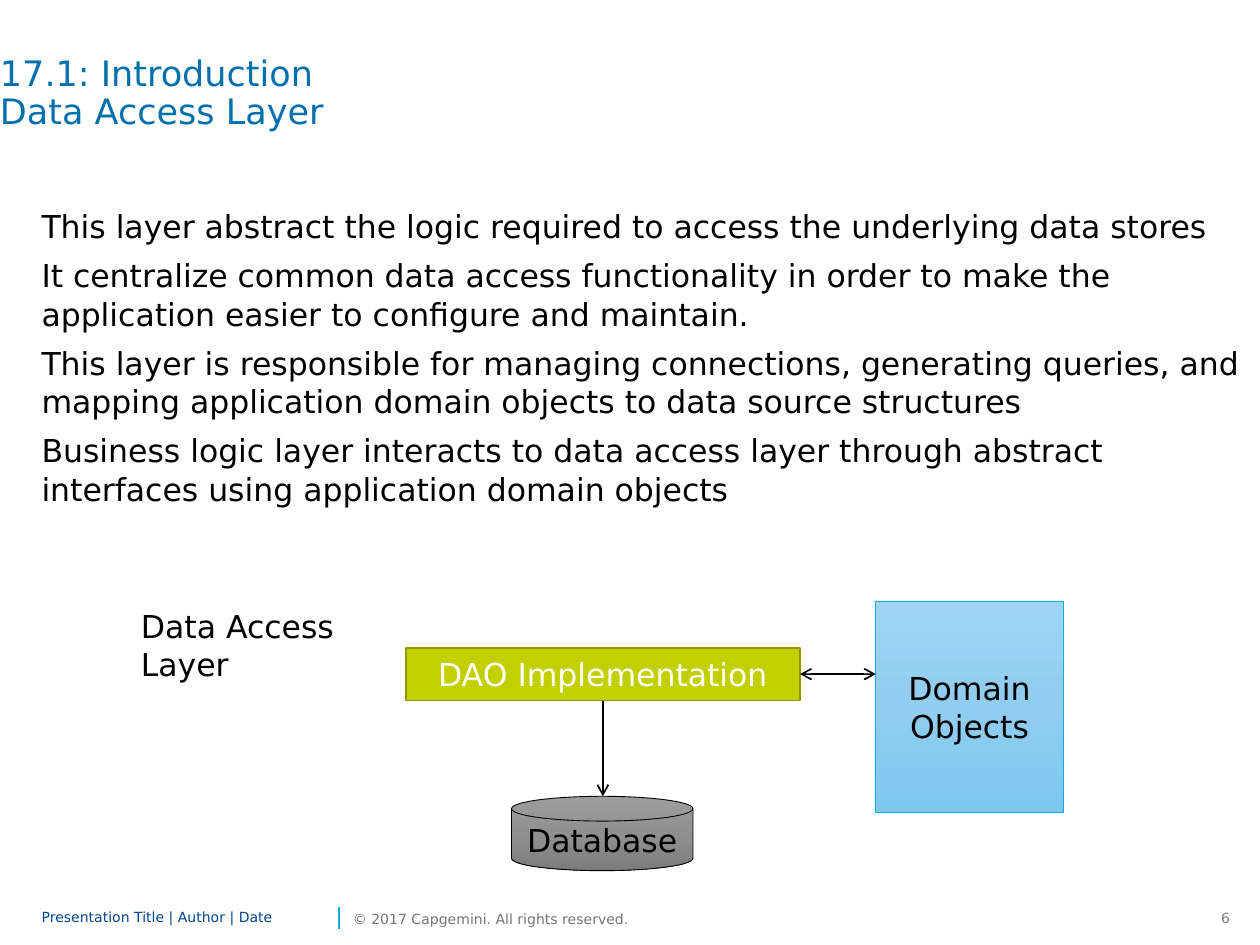
import copy
import pptx
import pptx.util
import pptx.dml.color
import pptx.enum.shapes
import pptx.enum.text
import pptx.oxml.ns
import pptx.oxml.xmlchemy

Inches = pptx.util.Inches
Pt = pptx.util.Pt
RGB = pptx.dml.color.RGBColor
ALIGN = pptx.enum.text.PP_ALIGN
ANCHOR = pptx.enum.text.MSO_ANCHOR
SHAPE = pptx.enum.shapes.MSO_SHAPE
qn = pptx.oxml.ns.qn

FONT = "DejaVu Sans"
BLACK = RGB(0x00, 0x00, 0x00)
WHITE = RGB(0xFF, 0xFF, 0xFF)
BLUE = RGB(0x00, 0x70, 0xAD)
NAVY = RGB(0x00, 0x45, 0x8D)
CYAN = RGB(0x12, 0xAB, 0xDB)
GRAY = RGB(0x80, 0x80, 0x80)
SLATE = RGB(0x76, 0x76, 0x76)
LIME = RGB(0xC2, 0xCF, 0x00)
OLIVE = RGB(0x90, 0x99, 0x00)
STEEL = [RGB(0x9D, 0x9D, 0x9D), RGB(0x90, 0x90, 0x90), RGB(0x7C, 0x7C, 0x7C)]
SKY = [RGB(0x9E, 0xD5, 0xF6), RGB(0x91, 0xCD, 0xEF), RGB(0x7C, 0xC8, 0xF3)]

POINTS = [
    "This layer abstract the logic required to access the underlying data stores",
    "It centralize common data access functionality in order to make the "
    "application easier to configure and maintain.",
    "This layer is responsible for managing connections, generating queries, and "
    "mapping application domain objects to data source structures",
    "Business logic layer interacts to data access layer through abstract "
    "interfaces using application domain objects",
]


def write(frame, lines, size=18, color=BLACK, align=ALIGN.LEFT,
          anchor=ANCHOR.TOP, space=None, after=None, inset=None, wrap=True):
    frame.word_wrap = wrap
    frame.vertical_anchor = anchor
    if inset is not None:
        frame.margin_left = frame.margin_right = Inches(inset)
        frame.margin_top = frame.margin_bottom = Inches(inset)
    for i, line in enumerate(lines):
        para = frame.add_paragraph() if i else frame.paragraphs[0]
        para.alignment = align
        para.line_spacing = space
        para.space_after = after
        run = para.add_run()
        run.text = line
        run.font.name = FONT
        run.font.size = Pt(size)
        run.font.color.rgb = color


def label(slide, box, lines, **form):
    area = slide.shapes.add_textbox(*map(Inches, box))
    write(area.text_frame, lines, **form)


def shade(shape, colors):
    shape.fill.gradient()
    shape.fill.gradient_angle = 270
    first = shape._element.spPr.find(".//" + qn("a:gs"))
    first.addnext(copy.deepcopy(first))
    for i, (stop, color) in enumerate(zip(shape.fill.gradient_stops, colors)):
        stop.position = i / (len(colors) - 1)
        stop.color.rgb = color


def block(slide, kind, box, lines, fill, edge, width, color=BLACK):
    shape = slide.shapes.add_shape(kind, *map(Inches, box))
    shape.shadow.inherit = False
    if isinstance(fill, list):
        shade(shape, fill)
    else:
        shape.fill.solid()
        shape.fill.fore_color.rgb = fill
    shape.line.color.rgb = edge
    shape.line.width = Pt(width)
    write(shape.text_frame, lines, color=color, align=ALIGN.CENTER,
          anchor=ANCHOR.MIDDLE)
    return shape


def link(slide, start, end, color=BLACK, heads=()):
    line = slide.shapes.add_connector(
        pptx.enum.shapes.MSO_CONNECTOR.STRAIGHT, *start, *end)
    line.line.color.rgb = color
    line.line.width = Pt(1)
    for head in heads:
        tip = pptx.oxml.xmlchemy.OxmlElement(head)
        tip.set("type", "arrow")
        line.line._get_or_add_ln().append(tip)
    line._element.spPr.append(pptx.oxml.xmlchemy.OxmlElement("a:effectLst"))
    return line


def footer(slide):
    label(slide, (9.47, 7.17, 0.39, 0.24), ["6"], size=8, color=GRAY,
          align=ALIGN.RIGHT)
    link(slide, (Inches(2.69), Inches(7.2)), (Inches(2.69), Inches(7.37)), CYAN)
    label(slide, (0.33, 7.17, 2.32, 0.24), ["Presentation Title | Author | Date"],
          size=8, color=NAVY, anchor=ANCHOR.MIDDLE, space=0.85, inset=0)
    label(slide, (2.8, 7.17, 2.32, 0.24),
          ["© 2017 Capgemini. All rights reserved."],
          size=8, color=SLATE, anchor=ANCHOR.MIDDLE, inset=0)


def chart(slide):
    dao = block(slide, SHAPE.RECTANGLE, (3.22, 5.14, 3.13, 0.42),
                ["DAO Implementation"], LIME, OLIVE, 1, WHITE)
    store = block(slide, SHAPE.FLOWCHART_MAGNETIC_DISK, (4.06, 6.32, 1.44, 0.59),
                  ["Database"], STEEL, BLACK, 0.5)
    model = block(slide, SHAPE.RECTANGLE, (6.95, 4.77, 1.49, 1.68),
                  ["Domain", "Objects"], SKY, CYAN, 0.5)
    label(slide, (1.02, 4.77, 2.02, 0.4), ["Data Access Layer"])
    mid = dao.left + dao.width // 2
    row = dao.top + dao.height // 2
    down = link(slide, (mid, dao.top + dao.height), (mid, store.top),
                heads=["a:tailEnd"])
    down.begin_connect(dao, 2)
    side = link(slide, (dao.left + dao.width, row), (model.left, row),
                heads=["a:headEnd", "a:tailEnd"])
    side.begin_connect(dao, 3)


def main():
    deck = pptx.Presentation()
    deck.slide_width = Inches(10)
    deck.slide_height = Inches(7.5)
    slide = deck.slides.add_slide(deck.slide_layouts[6])
    footer(slide)
    label(slide, (0, 0.45, 9.33, 0.94),
          ["17.1: Introduction", "Data Access Layer"],
          size=20, color=BLUE, space=0.9, inset=0)
    label(slide, (0.33, 1.64, 9.67, 5.08), POINTS, space=Pt(22), after=Pt(6),
          inset=0)
    chart(slide)
    deck.save("out.pptx")


if __name__ == "__main__":
    main()
